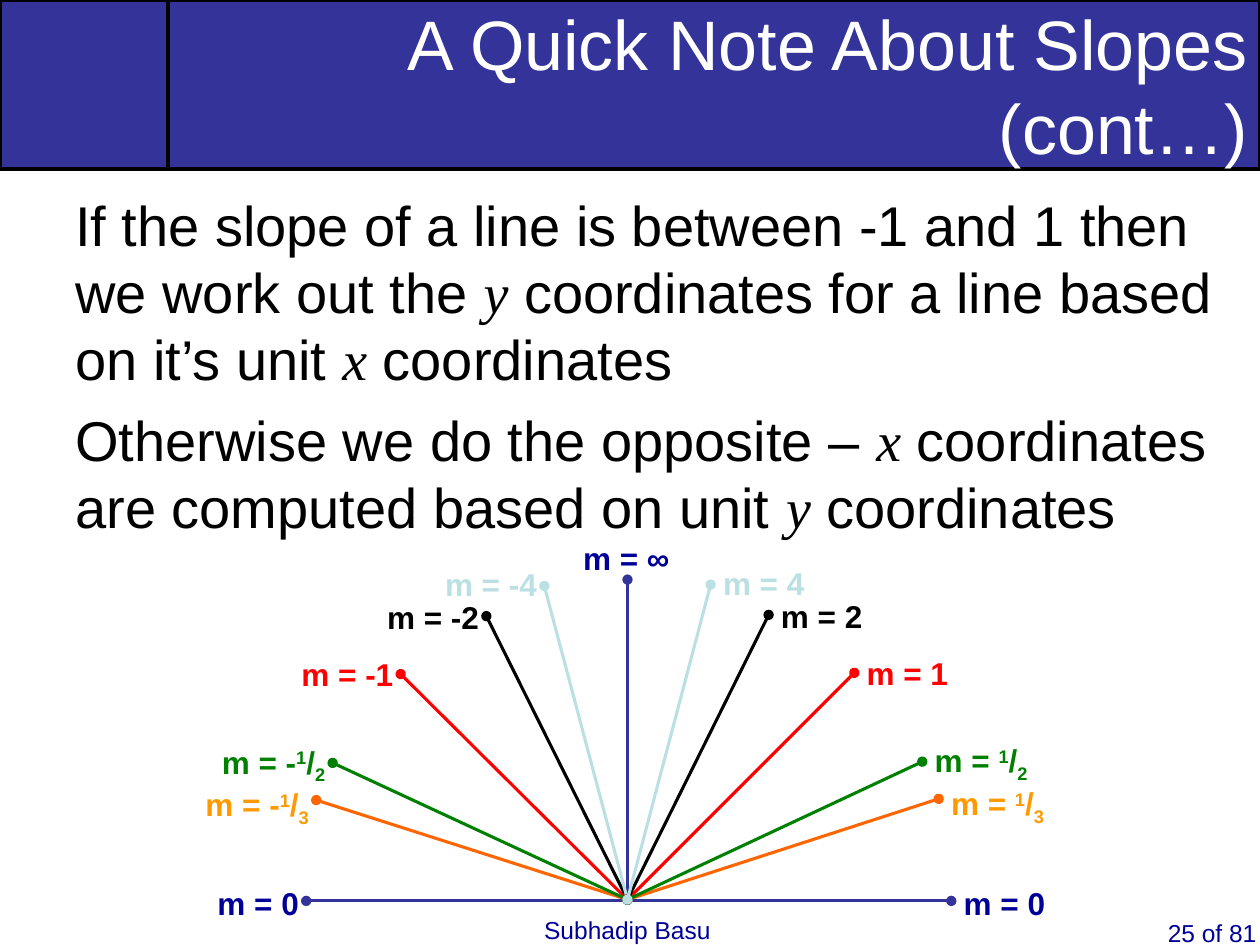
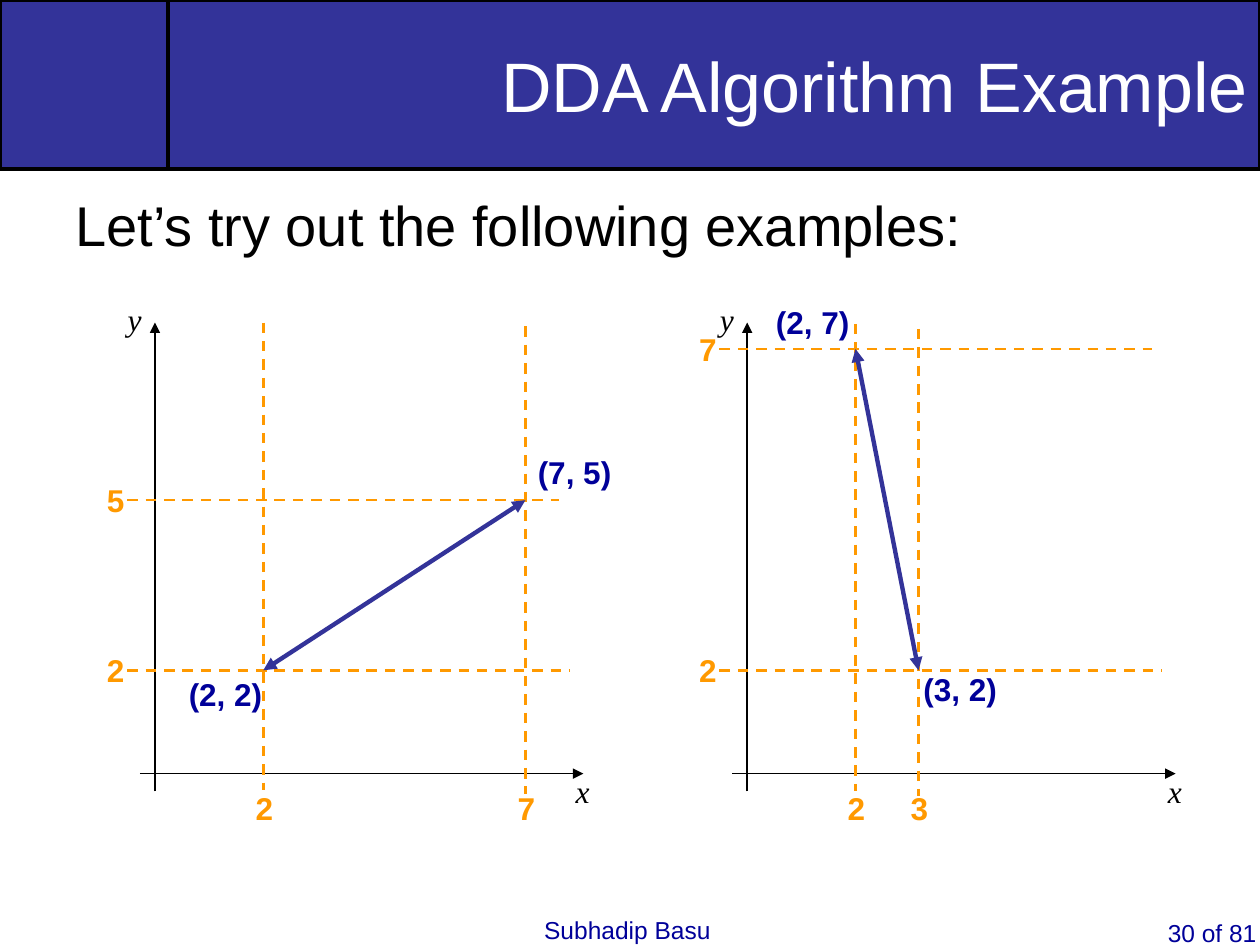
"""Build two lecture slides on line slopes and the DDA algorithm."""
from lxml.etree import SubElement
from pptx import Presentation
from pptx.dml.color import RGBColor
from pptx.enum.dml import MSO_LINE
from pptx.enum.shapes import MSO_CONNECTOR, MSO_SHAPE
from pptx.enum.text import MSO_ANCHOR, PP_ALIGN
from pptx.oxml.ns import qn
from pptx.util import Inches, Pt

WIDE, HIGH = Inches(10), Inches(7.5)
CELL = WIDE / 100
HUES = {
    "band": "333399", "navy": "000099", "black": "000000", "white": "FFFFFF",
    "red": "FF0000", "rust": "FF6600", "gold": "FF9900", "green": "008000",
    "ice": "BBE0E3",
}
TITLE = {"name": "Arial", "size": Pt(40)}
BODY = {"name": "Arial", "size": Pt(32)}
FOOT = {"name": "Arial", "size": Pt(14)}
LABEL = {"name": "Arial", "size": Pt(18), "bold": True}
AXIS = {"name": "Times New Roman", "size": Pt(18), "italic": True}
MATH = {"name": "Times New Roman", "italic": True}
HUB = (49.8, 71.4)
LEVEL = 71.5
SPOKES = [
    ("red", "red", ["1"], 18, 18, 2),
    ("rust", "gold", ["^1", "/", "_3"], 24.7, 8, 1.65),
    ("green", "green", ["^1", "/", "_2"], 23.4, 10.95, 2.1),
    ("black", "black", ["2"], 11.2, 22.6, 1.9),
    ("ice", "ice", ["4"], 6.6, 25, 2.15),
]
BASES = {"^": "30000", "_": "-25000"}


def cells(*vals):
    """Turn grid cells into slide lengths."""
    return [round(val * CELL) for val in vals]


def hue(name):
    """Return a named colour."""
    return RGBColor.from_string(HUES[name])


def write(para, parts, style, tint):
    """Add runs: * marks a variable, ^ and _ raise or lower the text."""
    for part in parts:
        mark = part[0] if part[0] in "*^_" else ""
        run = para.add_run()
        run.text = part[len(mark):]
        look = {**style, **(MATH if mark == "*" else {})}
        for key, val in look.items():
            setattr(run.font, key, val)
        run.font.color.rgb = hue(tint)
        if mark in BASES:
            run.font._element.set("baseline", BASES[mark])


def text(slide, box, paras, style, tint, side=PP_ALIGN.LEFT):
    """Add a text box with one or more paragraphs."""
    frame = slide.shapes.add_textbox(*cells(*box)).text_frame
    frame.word_wrap = True
    for num, parts in enumerate(paras):
        para = frame.add_paragraph() if num else frame.paragraphs[0]
        para.alignment = side
        para.space_before = Pt(8 if num else 0)
        write(para, parts, style, tint)
    return frame


def label(slide, x, y, parts, tint="navy", style=LABEL):
    """Add a short label with its top left corner at x, y."""
    text(slide, (x, y, 11, 4), [parts], style, tint)


def line(slide, start, end, tint, width, head=None, tail=None, dash=None):
    """Draw a straight line with optional ends and dashes."""
    link = slide.shapes.add_connector(
        MSO_CONNECTOR.STRAIGHT, *cells(*start, *end))
    link.line.color.rgb = hue(tint)
    link.line.width = Pt(width)
    if dash:
        link.line.dash_style = dash
    edge = link.line._get_or_add_ln()
    for tag, kind in (("a:headEnd", head), ("a:tailEnd", tail)):
        if kind:
            SubElement(edge, qn(tag), type=kind)
    SubElement(link._element.spPr, qn("a:effectLst"))


def band(slide, left, width):
    """Draw one block of the title band."""
    block = slide.shapes.add_shape(
        MSO_SHAPE.RECTANGLE, *cells(left, 0, width, 13.4))
    block.shadow.inherit = False
    block.fill.solid()
    block.fill.fore_color.rgb = hue("band")
    block.line.color.rgb = hue("black")
    block.line.width = Pt(2)
    return block.text_frame


def page(deck, title, paras, num):
    """Add a slide with title band, body text and footer."""
    slide = deck.slides.add_slide(deck.slide_layouts[6])
    band(slide, 0, 13.35)
    count = text(slide, (91.7, 72.4, 8.3, 2.6), [[f"{num} of 81"]],
                 FOOT, "navy")
    count.margin_right = 0
    text(slide, (42.2, 72.1, 15.2, 2.9), [["Subhadip Basu"]], FOOT, "navy")
    frame = band(slide, 13.35, 86.65)
    frame.word_wrap = True
    frame.vertical_anchor = MSO_ANCHOR.MIDDLE
    para = frame.paragraphs[0]
    para.alignment = PP_ALIGN.RIGHT
    write(para, [title], TITLE, "white")
    text(slide, (5, 14.6, 95, 60.4), paras, BODY, "black")
    return slide


def spoke(slide, end, tint):
    """Draw a line with round ends out of the hub."""
    line(slide, HUB, end, tint, 1.75, "oval", "oval")


def tag(slide, tip, side, drop, parts, tint):
    """Label a tip on its outer side."""
    x, y = tip
    left, way = (x - 10.6, PP_ALIGN.RIGHT) if side < 0 else (x, PP_ALIGN.LEFT)
    text(slide, (left, y - drop, 11, 4), [parts], LABEL, tint, way)


def fan(slide):
    """Draw the fan of slopes on both sides of the hub."""
    ends = {-1: (24.3, LEVEL), 1: (75.5, LEVEL)}
    line(slide, ends[-1], ends[1], "band", 1.75, "oval", "oval")
    spoke(slide, (HUB[0], 46), "band")
    label(slide, 45.3, 42.3, ["m = ∞"])
    for side, sign in ((-1, "-"), (1, "")):
        tag(slide, ends[side], side, 1.8, ["m = 0"], "navy")
        for tint, ink, slope, dx, dy, drop in SPOKES:
            tip = (HUB[0] + side * dx, HUB[1] - dy + (0.1 if side < 0 else 0))
            spoke(slide, tip, tint)
            lead = "m = " + sign
            parts = [lead, *slope] if len(slope) > 1 else [lead + slope[0]]
            tag(slide, tip, side, drop, parts, ink)


def plot(slide, left, units, tops, ends):
    """Draw axes, dashed guides and the segment between two points."""
    def spot(x, y):
        """Place a point of the plot on the slide grid."""
        return left + 8.6 + (x - 2) * units[0], 53.2 - (y - 2) * units[1]

    line(slide, (left, 62.8), (left, 25.6), "black", 1, tail="triangle")
    line(slide, (left - 1.2, 61.4), (left + 34, 61.4), "black", 1,
         tail="triangle")
    label(slide, left + 32.4, 60.8, ["x"], "black", AXIS)
    label(slide, left - 3.15, 23.3, ["y"], "black", AXIS)
    for (x, y, _), top in zip(ends, tops):
        across, down = spot(x, y)
        reach = left + (32.9 if y == 2 else 32.1)
        line(slide, (across, top), (across, top + 37.1), "gold", 1.5,
             dash=MSO_LINE.DASH)
        line(slide, (left - 2.2, down), (reach, down), "gold", 1.5,
             dash=MSO_LINE.DASH)
        label(slide, across - 1.6, 62.1, [str(x)], "gold")
        label(slide, left - 4.8, down - 2, [str(y)], "gold")
    line(slide, *(spot(x, y) for x, y, _ in ends), "band", 2.5,
         "triangle", "triangle")
    for x, y, (dx, dy) in ends:
        across, down = spot(x, y)
        label(slide, across + dx, down + dy, [f"({x}, {y})"])


def main():
    """Build and save the deck."""
    deck = Presentation()
    deck.slide_width, deck.slide_height = WIDE, HIGH
    fan(page(deck, "A Quick Note About Slopes (cont…)", [
        ["If the slope of a line is between -1 and 1 then we work out the ",
         "*y", " coordinates for a line based on it’s unit ", "*x",
         " coordinates"],
        ["Otherwise we do the opposite – ", "*x",
         " coordinates are computed based on unit ", "*y", " coordinates"],
    ], 25))
    slide = page(deck, "DDA Algorithm Example",
                 [["Let’s try out the following examples:"]], 30)
    plot(slide, 12.3, (4.16, 4.5), (25.6, 25.9),
         [(2, 2, (-6.9, -0.1)), (7, 5, (0, -4.2))])
    plot(slide, 59.3, (5, 5.1), (25.7, 26.1),
         [(2, 7, (-7.3, -4.1)), (3, 2, (-0.6, -0.5))])
    deck.save("out.pptx")


if __name__ == "__main__":
    main()
